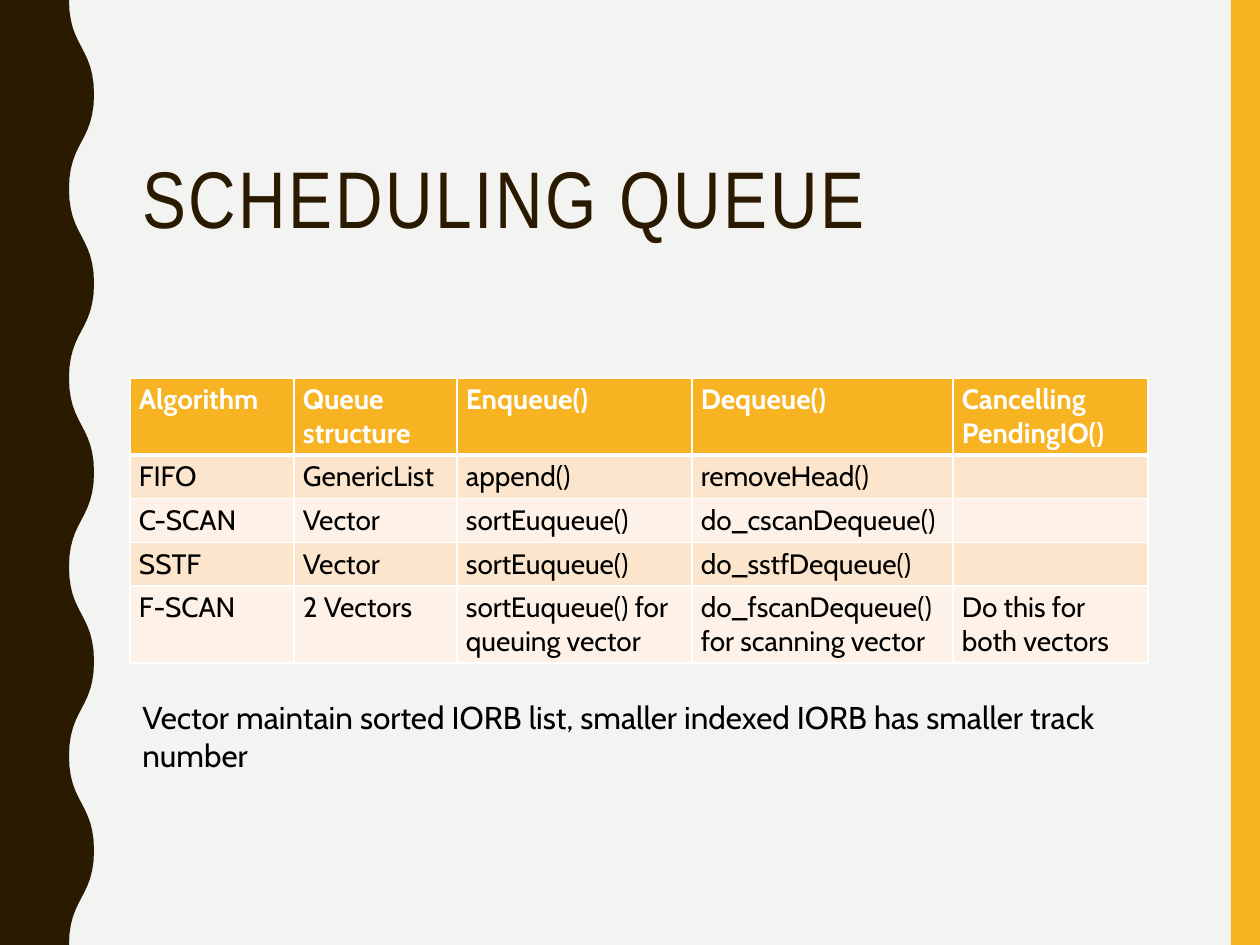
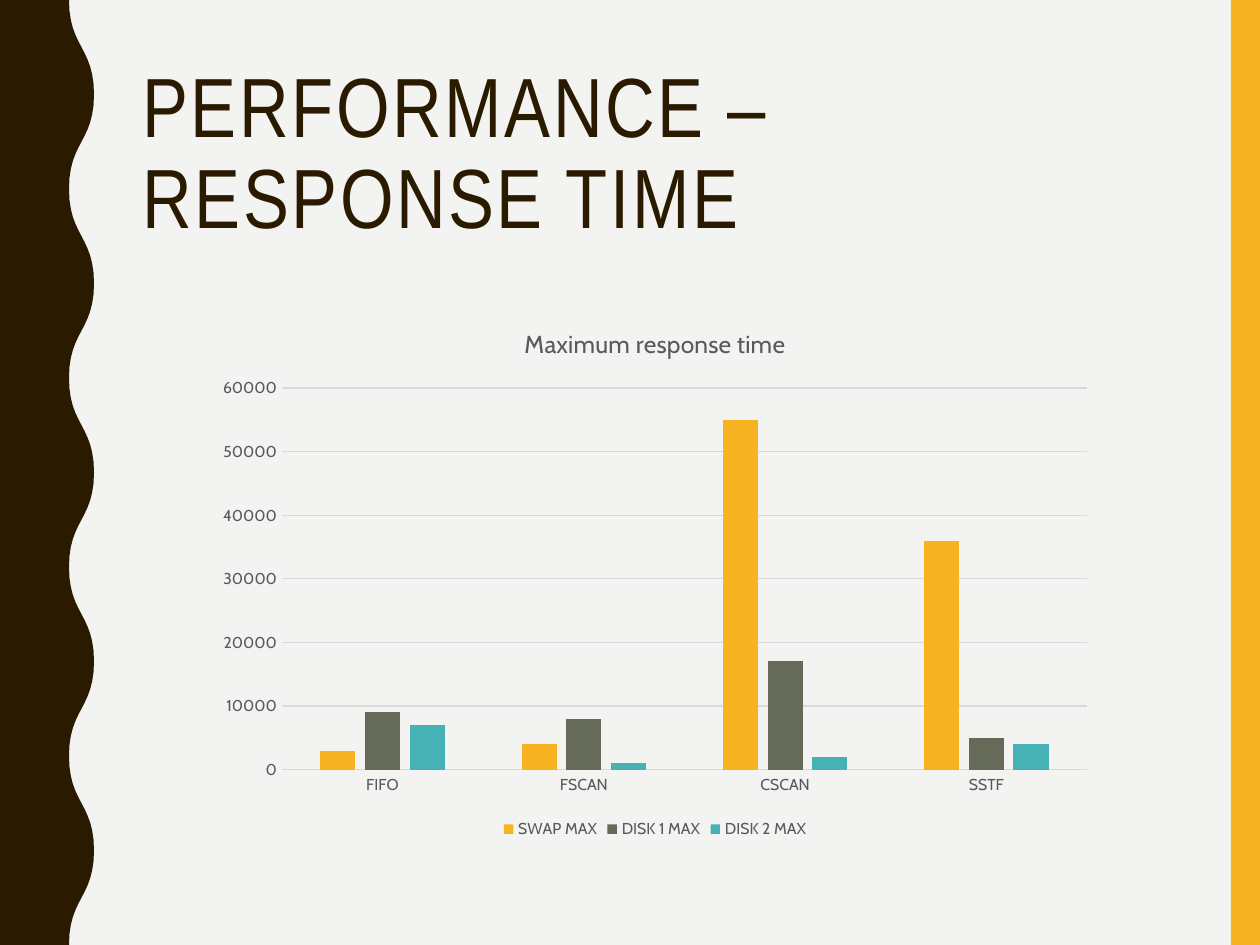
from lxml import etree
from pptx import Presentation
from pptx.chart.data import CategoryChartData
from pptx.dml.color import RGBColor
from pptx.enum.chart import XL_CHART_TYPE, XL_LEGEND_POSITION, XL_TICK_MARK
from pptx.enum.shapes import MSO_SHAPE
from pptx.enum.text import MSO_ANCHOR, PP_ALIGN
from pptx.oxml import parse_xml
from pptx.oxml.ns import nsdecls
from pptx.util import Emu, Pt

COLORS = {
    "paper": "F3F3F2", "brown": "2A1A00", "amber": "F8B323", "olive": "656A59",
    "teal": "46B2B5", "peach": "FCE5CD", "cream": "FEF2E8", "white": "FFFFFF",
    "black": "000000", "gray": "595959", "grid": "D9D9D9",
}
RGB = {name: RGBColor.from_string(value) for name, value in COLORS.items()}
WIDTH, HEIGHT = 1260, 945
TITLE_FONT, BODY_FONT = "Arial Narrow", "Cabin"


def px(n):
    """Turn pixels (126 to the inch) into EMU."""
    return Emu(round(n * 914400 / 126))


def style_font(font, color, **values):
    for name, value in values.items():
        setattr(font, name, value)
    font.color.rgb = RGB[color]


prs = Presentation()
prs.slide_width, prs.slide_height = px(WIDTH), px(HEIGHT)

# Left wave: ten S-curves swinging between two edges
WAVE_IN, WAVE_OUT, SWINGS, STEPS = 69, 94, 10, 12
swing_height = HEIGHT / SWINGS
wave = []
for i in range(SWINGS):
    start, end = (WAVE_IN, WAVE_OUT) if i % 2 == 0 else (WAVE_OUT, WAVE_IN)
    for step in range(1, STEPS + 1):
        t = step / STEPS
        x = start + (end - start) * (3 * t**2 - 2 * t**3)
        y = swing_height * (i + 1.5 * t * (1 - t) + t**3)
        wave.append((px(x), px(y)))

# Background, bands and title of both slides
titles = [
    ("SCHEDULING QUEUE", 158, 89, 45.9),
    ("PERFORMANCE – RESPONSE TIME", 53, 205, 48),
]
slides = []
for title, top, height, size in titles:
    s = prs.slides.add_slide(prs.slide_layouts[6])
    slides.append(s)
    s.background.fill.solid()
    s.background.fill.fore_color.rgb = RGB["paper"]

    band = s.shapes.add_shape(MSO_SHAPE.RECTANGLE, px(1231), 0, px(29), px(HEIGHT))
    builder = s.shapes.build_freeform(px(WAVE_IN), 0)
    builder.add_line_segments(wave + [(0, px(HEIGHT)), (0, 0)], close=True)
    for sp, color in ((band, "amber"), (builder.convert_to_shape(), "brown")):
        sp.shadow.inherit = False
        sp.fill.solid()
        sp.fill.fore_color.rgb = RGB[color]
        sp.line.fill.background()

    tf = s.shapes.add_textbox(px(130), px(top), px(1052), px(height)).text_frame
    tf.word_wrap = True
    tf.vertical_anchor = MSO_ANCHOR.MIDDLE
    p = tf.paragraphs[0]
    p.line_spacing = 0.9
    r = p.add_run()
    r.text = title
    style_font(r.font, "brown", name=TITLE_FONT, size=Pt(size))
    r.font._element.set("spc", "150")

queue_slide, performance_slide = slides

# Table of scheduling queues
rows = [
    ["Algorithm", "Queue structure", "Enqueue()", "Dequeue()", "Cancelling\nPendingIO()"],
    ["FIFO", "GenericList", "append()", "removeHead()", ""],
    ["C-SCAN", "Vector", "sortEuqueue()", "do_cscanDequeue()", ""],
    ["SSTF", "Vector", "sortEuqueue()", "do_sstfDequeue()", ""],
    ["F-SCAN", "2 Vectors", "sortEuqueue() for queuing vector",
     "do_fscanDequeue() for scanning vector", "Do this for both vectors"],
]
col_widths = [164, 163, 235, 261, 195]
row_heights = [77, 43, 43, 43, 77]
table = queue_slide.shapes.add_table(
    len(rows), len(col_widths), px(130), px(378), px(sum(col_widths)), px(sum(row_heights))
).table
for col, width in zip(table.columns, col_widths):
    col.width = px(width)
for row, height in zip(table.rows, row_heights):
    row.height = px(height)

cell_margins = {"margin_left": 9, "margin_right": 9, "margin_top": 5, "margin_bottom": 5}
for i, texts in enumerate(rows):
    header = i == 0
    fill = "amber" if header else "peach" if i % 2 else "cream"
    borders = {"lnL": 1, "lnR": 1, "lnT": 3 if i == 1 else 1, "lnB": 3 if header else 1}
    for j, text in enumerate(texts):
        cell = table.cell(i, j)
        cell.text = text
        cell.fill.solid()
        cell.fill.fore_color.rgb = RGB[fill]
        for name, margin in cell_margins.items():
            setattr(cell, name, px(margin))
        for p in cell.text_frame.paragraphs:
            style_font(p.font, "white" if header else "black",
                       name=BODY_FONT, size=Pt(16), bold=header)
            for r in p.runs:
                style_font(r.font, "white" if header else "black",
                           name=BODY_FONT, size=Pt(16), bold=header)
        tcPr = cell._tc.get_or_add_tcPr()
        for k, (tag, points) in enumerate(borders.items()):
            tcPr.insert(k, parse_xml(
                f'<a:{tag} {nsdecls("a")} w="{Pt(points)}"><a:solidFill>'
                f'<a:srgbClr val="{COLORS["white"]}"/></a:solidFill></a:{tag}>'))

# Remark under the table
tf = queue_slide.shapes.add_textbox(px(130), px(692), px(1077), px(50)).text_frame
tf.word_wrap = True
p = tf.paragraphs[0]
p.alignment = PP_ALIGN.LEFT
r = p.add_run()
r.text = "Vector maintain sorted IORB list, smaller indexed IORB has smaller track number"
style_font(r.font, "black", name=BODY_FONT, size=Pt(18))

# Chart of response times
series = [
    ("SWAP MAX", "amber", (3000, 4000, 55000, 36000)),
    ("DISK 1 MAX", "olive", (9000, 8000, 17000, 5000)),
    ("DISK 2 MAX", "teal", (7000, 1000, 2000, 4000)),
]
data = CategoryChartData()
data.categories = ["FIFO", "FSCAN", "CSCAN", "SSTF"]
for name, _, values in series:
    data.add_series(name, values)
chart = performance_slide.shapes.add_chart(
    XL_CHART_TYPE.COLUMN_CLUSTERED, px(205), px(305), px(900), px(539), data
).chart
style_font(chart.font, "black", name=BODY_FONT, size=Pt(10))

chart.has_title = True
tf = chart.chart_title.text_frame
tf.text = "Maximum response time"
style_font(tf.paragraphs[0].runs[0].font, "gray", name=BODY_FONT, size=Pt(14), bold=False)
chart.chart_title.include_in_layout = False

chart.has_legend = True
chart.legend.position = XL_LEGEND_POSITION.BOTTOM
chart.legend.include_in_layout = False
style_font(chart.legend.font, "gray", name=BODY_FONT, size=Pt(9))

plot = chart.plots[0]
plot.gap_width, plot.overlap, plot.vary_by_categories = 219, -27, False
for ser, (_, color, _) in zip(plot.series, series):
    ser.format.fill.solid()
    ser.format.fill.fore_color.rgb = RGB[color]

for axis in (chart.category_axis, chart.value_axis):
    axis.major_tick_mark = axis.minor_tick_mark = XL_TICK_MARK.NONE
    style_font(axis.tick_labels.font, "gray", name=BODY_FONT, size=Pt(9))
chart.value_axis.maximum_scale = 60000
chart.value_axis.major_unit = 10000
chart.value_axis.format.line.fill.background()
for line in (chart.category_axis.format.line, chart.value_axis.major_gridlines.format.line):
    line.color.rgb = RGB["grid"]
    line.width = Pt(0.75)

prs.save("out.pptx")
